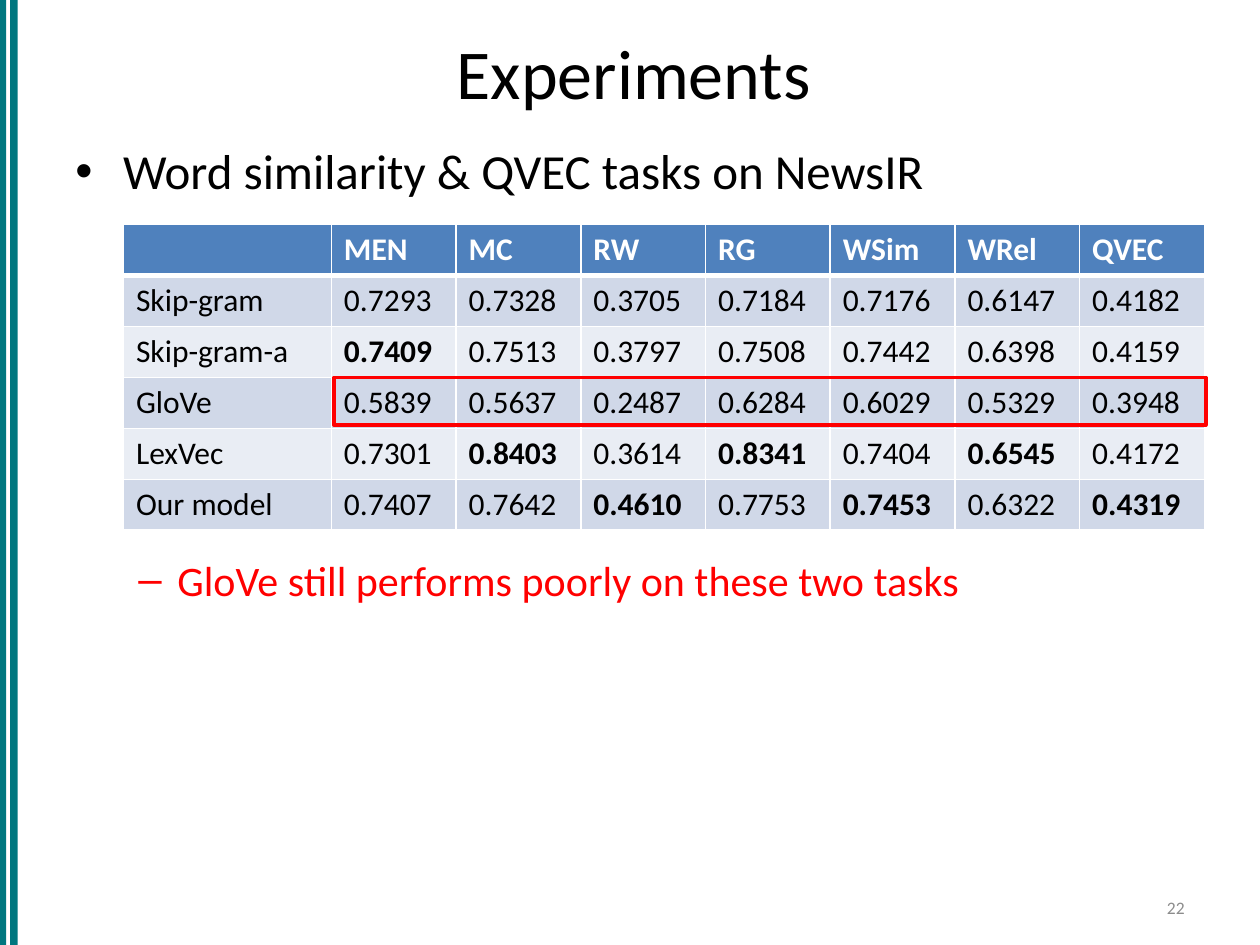
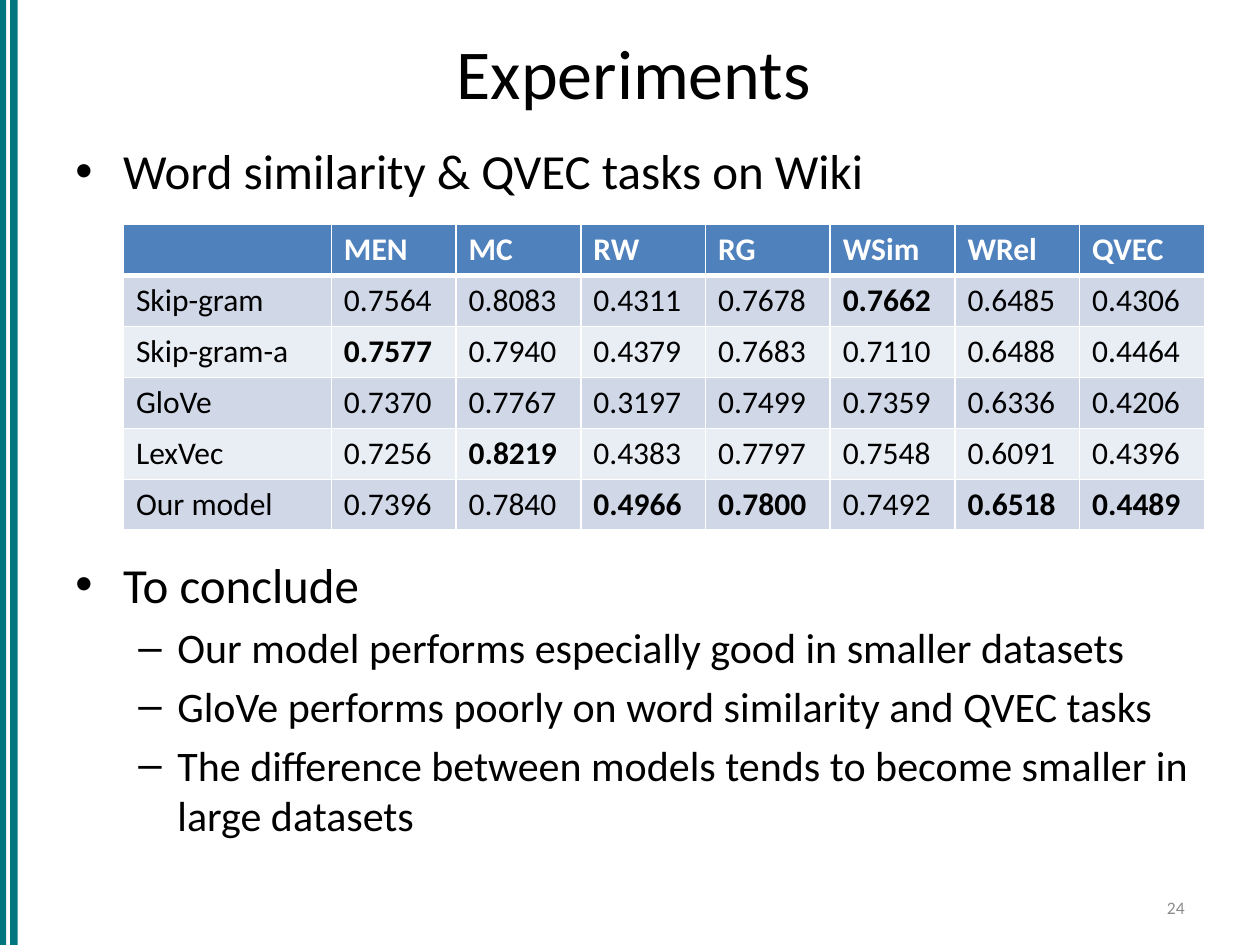
from dataclasses import dataclass

from lxml import etree
from pptx import Presentation, util as u
from pptx.dml.color import RGBColor
from pptx.enum import shapes, text
from pptx.oxml.ns import qn


@dataclass(frozen=True)
class Theme:
    font: str = "Calibri"
    black: str = "000000"
    white: str = "FFFFFF"
    red: str = "FF0000"
    gray: str = "8C8C8C"
    band: str = "00777F"
    header: str = "4F81BD"
    rows: tuple = ("D0D8E8", "E9EDF4")
    title_size: int = 40
    levels: tuple = (28, 24)
    table_size: int = 18
    number_size: int = 10


THEME = Theme()
LEFT, WIDTH = 0.5, 9.06
# bullet sign, text margin and hanging indent for each outline level
BULLETS = (("•", 0.38, 0.38), ("–", 0.81, 0.31))
TABLE_LEFT, TABLE_TOP = 0.98, 1.78
MODEL_WIDTH, SCORE_WIDTH, ROW_HEIGHT = 1.65, 0.99, 0.405
TASKS = ["MEN", "MC", "RW", "RG", "WSim", "WRel", "QVEC"]
MODELS = ["Skip-gram", "Skip-gram-a", "GloVe", "LexVec", "Our model"]

NEWSIR_SCORES = [
    [0.7293, 0.7328, 0.3705, 0.7184, 0.7176, 0.6147, 0.4182],
    [0.7409, 0.7513, 0.3797, 0.7508, 0.7442, 0.6398, 0.4159],
    [0.5839, 0.5637, 0.2487, 0.6284, 0.6029, 0.5329, 0.3948],
    [0.7301, 0.8403, 0.3614, 0.8341, 0.7404, 0.6545, 0.4172],
    [0.7407, 0.7642, 0.4610, 0.7753, 0.7453, 0.6322, 0.4319],
]
WIKI_SCORES = [
    [0.7564, 0.8083, 0.4311, 0.7678, 0.7662, 0.6485, 0.4306],
    [0.7577, 0.7940, 0.4379, 0.7683, 0.7110, 0.6488, 0.4464],
    [0.7370, 0.7767, 0.3197, 0.7499, 0.7359, 0.6336, 0.4206],
    [0.7256, 0.8219, 0.4383, 0.7797, 0.7548, 0.6091, 0.4396],
    [0.7396, 0.7840, 0.4966, 0.7800, 0.7492, 0.6518, 0.4489],
]


def rgb(value):
    return RGBColor.from_string(value)


def inches(*lengths):
    return [u.Inches(length) for length in lengths]


def write(paragraph, words, *, size, color=THEME.black, bold=False,
          align=text.PP_ALIGN.LEFT):
    paragraph.alignment = align
    run = paragraph.add_run()
    run.text = words
    run.font.name = THEME.font
    run.font.size = u.Pt(size)
    run.font.bold = bold
    run.font.color.rgb = rgb(color)


def add_text_frame(slide, *box, anchor=text.MSO_ANCHOR.TOP):
    frame = slide.shapes.add_textbox(*inches(*box)).text_frame
    frame.word_wrap = True
    frame.vertical_anchor = anchor
    return frame


def add_rectangle(slide, *box, fill=None, line=None):
    rectangle = slide.shapes.add_shape(shapes.MSO_SHAPE.RECTANGLE, *inches(*box))
    rectangle.shadow.inherit = False
    if fill:
        rectangle.fill.solid()
        rectangle.fill.fore_color.rgb = rgb(fill)
    else:
        rectangle.fill.background()
    if line:
        rectangle.line.color.rgb = rgb(line)
        rectangle.line.width = u.Pt(2)
    else:
        rectangle.line.fill.background()


def set_bullet(paragraph, level):
    sign, margin, hanging = BULLETS[level]
    properties = paragraph._p.get_or_add_pPr()
    properties.set("marL", str(u.Inches(margin)))
    properties.set("indent", str(-u.Inches(hanging)))
    etree.SubElement(properties, qn("a:buFont")).set("typeface", "Arial")
    etree.SubElement(properties, qn("a:buChar")).set("char", sign)


def add_outline(slide, top, height, points):
    """Write (level, words, color) points as one bulleted list."""
    frame = add_text_frame(slide, LEFT, top, WIDTH, height)
    for index, (level, words, color) in enumerate(points):
        paragraph = frame.add_paragraph() if index else frame.paragraphs[0]
        size = THEME.levels[level]
        write(paragraph, words, size=size, color=color)
        paragraph.space_before = u.Pt(0.2 * size if index else 0)
        set_bullet(paragraph, level)


def set_borders(cell, **widths):
    properties = cell._tc.get_or_add_tcPr()
    for side in "LRTB":
        line = etree.SubElement(properties, qn(f"a:ln{side}"))
        line.set("w", str(u.Pt(widths.get(side, 1))))
        fill = etree.SubElement(line, qn("a:solidFill"))
        etree.SubElement(fill, qn("a:srgbClr")).set("val", THEME.white)


def style_cell(cell, fill, **borders):
    set_borders(cell, **borders)
    cell.fill.solid()
    cell.fill.fore_color.rgb = rgb(fill)


def add_score_table(slide, scores):
    """Tabulate models by tasks, with the best score of each task in bold."""
    row_count, column_count = len(MODELS) + 1, len(TASKS) + 1
    table = slide.shapes.add_table(
        row_count, column_count,
        *inches(TABLE_LEFT, TABLE_TOP, MODEL_WIDTH + len(TASKS) * SCORE_WIDTH,
                row_count * ROW_HEIGHT)).table
    for index, column in enumerate(table.columns):
        column.width = u.Inches(SCORE_WIDTH if index else MODEL_WIDTH)
    for row in table.rows:
        row.height = u.Inches(ROW_HEIGHT)

    style_cell(table.cell(0, 0), THEME.header, B=3)
    for column, task in enumerate(TASKS, 1):
        cell = table.cell(0, column)
        style_cell(cell, THEME.header, B=3)
        write(cell.text_frame.paragraphs[0], task, size=THEME.table_size,
              color=THEME.white, bold=True)

    best_scores = [max(task_scores) for task_scores in zip(*scores)]
    for row, (model, model_scores) in enumerate(zip(MODELS, scores), 1):
        entries = [(model, False)] + [
            (f"{score:.4f}", score == best)
            for score, best in zip(model_scores, best_scores)]
        for column, (words, is_best) in enumerate(entries):
            cell = table.cell(row, column)
            style_cell(cell, THEME.rows[(row - 1) % 2], T=3 if row == 1 else 1)
            write(cell.text_frame.paragraphs[0], words, size=THEME.table_size,
                  bold=is_best)


def highlight_scores(slide, model):
    row = MODELS.index(model) + 1
    add_rectangle(slide, TABLE_LEFT + MODEL_WIDTH + 0.02,
                  TABLE_TOP + row * ROW_HEIGHT, 6.92, 0.38, line=THEME.red)


def add_experiment_slide(deck, number, corpus, scores, findings):
    slide = deck.slides.add_slide(deck.slide_layouts[5])
    for left in (0.08, -0.01):
        add_rectangle(slide, left, 0, 0.06, 7.5, fill=THEME.band)

    title = slide.shapes.title
    title.left, title.top, title.width, title.height = inches(
        LEFT, 0.13, WIDTH, 0.87)
    title.text_frame.vertical_anchor = text.MSO_ANCHOR.MIDDLE
    write(title.text_frame.paragraphs[0], "Experiments", size=THEME.title_size,
          align=text.PP_ALIGN.CENTER)

    add_outline(slide, 1.07, 0.6, [
        (0, f"Word similarity & QVEC tasks on {corpus}", THEME.black)])
    add_score_table(slide, scores)
    add_outline(slide, 4.35, 2.63, findings)

    footer = add_text_frame(slide, 7.17, 7.06, 2.33, 0.29,
                            anchor=text.MSO_ANCHOR.MIDDLE)
    write(footer.paragraphs[0], str(number), size=THEME.number_size,
          color=THEME.gray, align=text.PP_ALIGN.RIGHT)
    return slide


def main():
    deck = Presentation()
    deck.slide_width, deck.slide_height = inches(10, 7.5)

    newsir = add_experiment_slide(deck, 22, "NewsIR", NEWSIR_SCORES, [
        (1, "GloVe still performs poorly on these two tasks", THEME.red)])
    highlight_scores(newsir, "GloVe")

    add_experiment_slide(deck, 24, "Wiki", WIKI_SCORES, [
        (0, "To conclude", THEME.black),
        (1, "Our model performs especially good in smaller datasets",
         THEME.black),
        (1, "GloVe performs poorly on word similarity and QVEC tasks",
         THEME.black),
        (1, "The difference between models tends to become smaller in "
            "large datasets", THEME.black)])

    deck.save("out.pptx")


if __name__ == "__main__":
    main()
